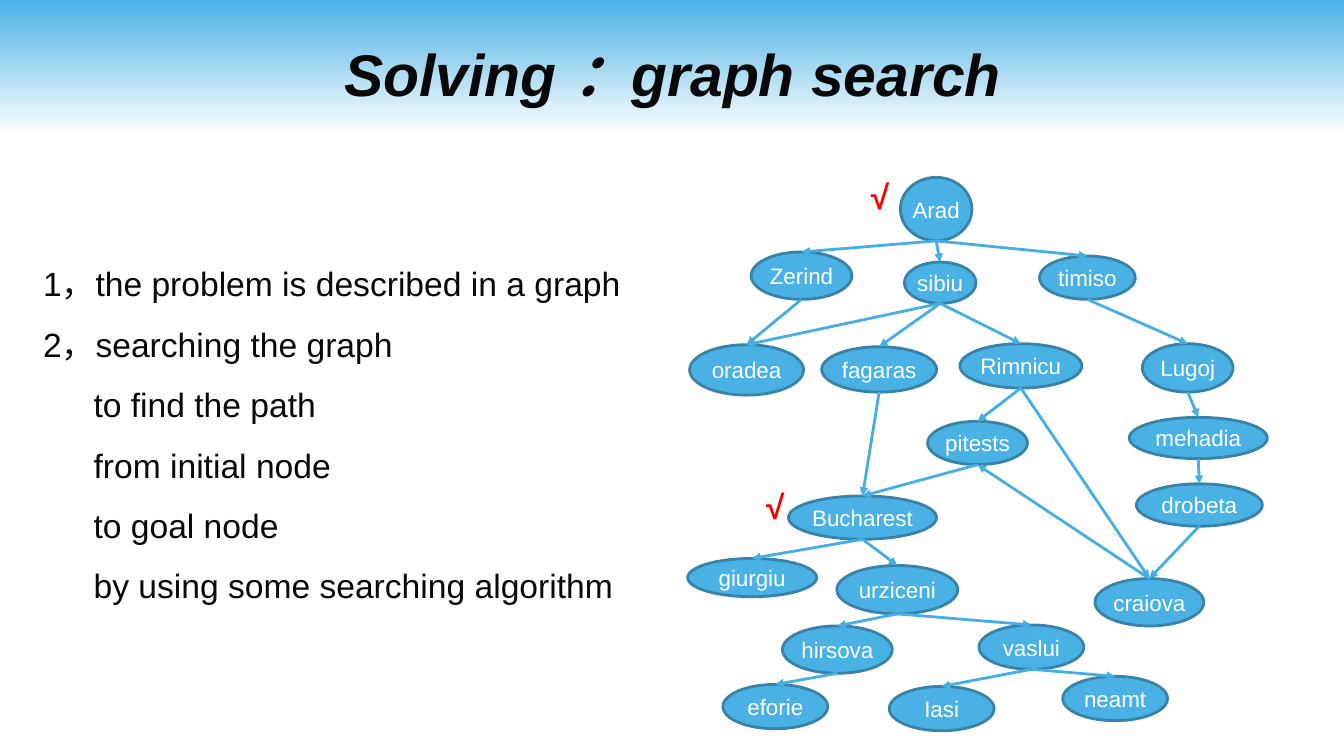
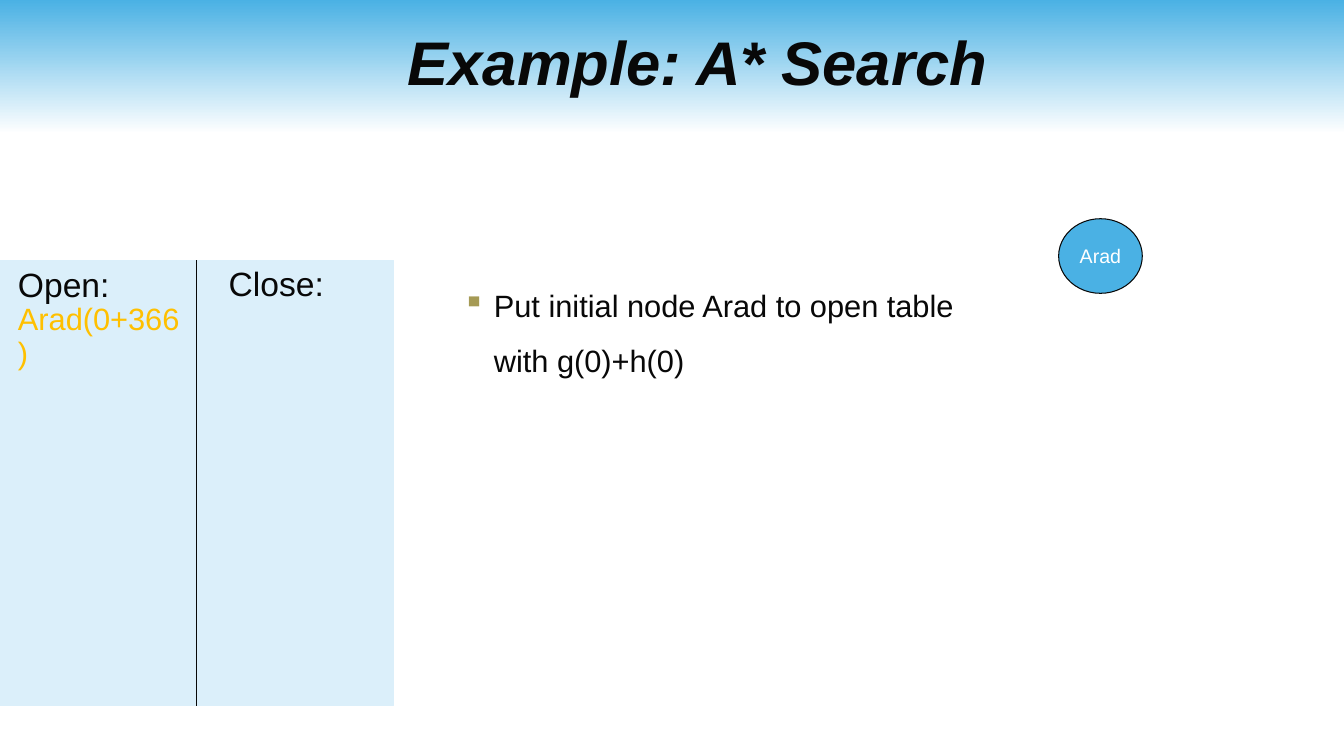
from lxml.etree import SubElement
from pptx import Presentation
from pptx.dml.color import RGBColor
from pptx.enum.shapes import MSO_CONNECTOR, MSO_SHAPE
from pptx.enum.text import MSO_ANCHOR, PP_ALIGN
from pptx.oxml.ns import qn
from pptx.util import Inches, Pt

COLOURS = {
    "text": "080808",
    "node": "4AB1E4",
    "node_line": "3783A9",
    "edge": "45AEE3",
    "white": "FFFFFF",
    "check": "FF0000",
    "panel": "DBEFFA",
    "open_node": "FFC000",
    "bullet": "A59A55",
}
RGB = {name: RGBColor.from_string(value) for name, value in COLOURS.items()}
TITLE_FONT = {"bold": True, "italic": True}
CENTRED = {"alignment": PP_ALIGN.CENTER}
NO_MARGINS = {"margin_left": 0, "margin_right": 0, "margin_top": 0, "margin_bottom": 0}
NODE_FRAME = {**NO_MARGINS, "vertical_anchor": MSO_ANCHOR.MIDDLE, "word_wrap": True}


def write(shape, lines, frame_format, paragraph_format, colour="text", **font_format):
    """Fill a shape with lines, one paragraph each, and return the paragraphs."""
    frame = shape.text_frame
    frame.text = "\n".join(lines)
    for name, value in frame_format.items():
        setattr(frame, name, value)
    for paragraph in frame.paragraphs:
        for name, value in paragraph_format.items():
            setattr(paragraph, name, value)
        font = paragraph.runs[0].font
        font.color.rgb = RGB[colour]
        for name, value in {"name": "Arial", **font_format}.items():
            setattr(font, name, value)
    return frame.paragraphs


def add_filled_shape(slide, kind, box, fill, line, line_width):
    shape = slide.shapes.add_shape(kind, *map(Inches, box))
    shape.shadow.inherit = False
    shape.fill.solid()
    shape.fill.fore_color.rgb = RGB[fill]
    shape.line.color.rgb = RGB[line]
    shape.line.width = Pt(line_width)
    return shape


presentation = Presentation()
presentation.slide_width = Inches(13.33)
presentation.slide_height = Inches(7.5)
layout = presentation.slide_layouts[5]

# Titles
titles = [
    ("Solving ：graph search", 0.67, 0.25, 42),
    ("Example: A* Search", 0.92, 0.13, 44),
]
slides = []
for text, left, top, size in titles:
    slide = presentation.slides.add_slide(layout)
    title = slide.shapes.title
    title.left, title.top = Inches(left), Inches(top)
    title.width, title.height = Inches(12), Inches(0.95)
    write(title, [text], {"vertical_anchor": MSO_ANCHOR.MIDDLE}, CENTRED,
          size=Pt(size), **TITLE_FONT)
    slides.append(slide)
graph_slide, search_slide = slides

# The gradient band belongs to the shared layout, behind its placeholders
band = add_filled_shape(graph_slide, MSO_SHAPE.RECTANGLE, (0, 0, 13.33, 1.33),
                        "node", "node", 1)
band.line.fill.background()
band.fill.gradient()
band.fill.gradient_angle = 270
for stop, colour in zip(band.fill.gradient_stops, ("node", "white")):
    stop.color.rgb = RGB[colour]
layout.shapes.element.insert(2, band.element)

# Graph search: explanation
explanation = graph_slide.shapes.add_textbox(*map(Inches, (0.33, 2.36, 6.02, 3.74)))
steps = [
    "1，the problem is described in a graph",
    "2，searching the graph",
    "to find the path",
    "from initial node",
    "to goal node",
    "by using some searching algorithm",
]
paragraphs = write(explanation, steps, {"word_wrap": True}, {"line_spacing": 1.5}, size=Pt(24))
for paragraph in paragraphs[2:]:
    paragraph.level = 1
    paragraph._p.get_or_add_pPr().set("marL", str(Inches(0.5)))

# Graph search: cities and roads
cities = {
    "Arad": (8.93, 1.76, 0.71, 0.63),
    "Zerind": (7.45, 2.5, 1, 0.47),
    "sibiu": (8.97, 2.6, 0.71, 0.41),
    "timiso": (10.31, 2.54, 0.95, 0.43),
    "oradea": (6.84, 3.42, 1.13, 0.5),
    "fagaras": (8.15, 3.44, 1.14, 0.45),
    "Rimnicu": (9.52, 3.41, 1.21, 0.44),
    "Lugoj": (11.33, 3.41, 0.9, 0.48),
    "pitests": (9.2, 4.18, 0.99, 0.43),
    "mehadia": (11.2, 4.14, 1.37, 0.41),
    "drobeta": (11.27, 4.8, 1.25, 0.42),
    "Bucharest": (7.82, 4.92, 1.47, 0.43),
    "giurgiu": (6.82, 5.54, 1.28, 0.38),
    "urziceni": (8.3, 5.61, 1.2, 0.48),
    "craiova": (10.86, 5.74, 1.08, 0.47),
    "hirsova": (7.76, 6.21, 1.09, 0.47),
    "vaslui": (9.71, 6.2, 1.04, 0.44),
    "eforie": (7.17, 6.79, 1.04, 0.44),
    "Iasi": (8.82, 6.81, 1.04, 0.44),
    "neamt": (10.54, 6.71, 1.04, 0.44),
}
roads = {
    "Arad": ["Zerind", "sibiu", "timiso"],
    "Zerind": ["oradea"],
    "sibiu": ["oradea", "fagaras", "Rimnicu"],
    "timiso": ["Lugoj"],
    "fagaras": ["Bucharest"],
    "Rimnicu": ["pitests", "craiova"],
    "Lugoj": ["mehadia"],
    "mehadia": ["drobeta"],
    "drobeta": ["craiova"],
    "pitests": ["Bucharest"],
    "Bucharest": ["giurgiu", "urziceni"],
    "urziceni": ["hirsova", "vaslui"],
    "hirsova": ["eforie"],
    "vaslui": ["Iasi", "neamt"],
}
tops, bottoms = {}, {}
for city, box in cities.items():
    node = add_filled_shape(graph_slide, MSO_SHAPE.OVAL, box, "node", "node_line", 2)
    write(node, [city], {**NODE_FRAME, "word_wrap": False}, CENTRED, "white", size=Pt(16))
    left, top, width, height = box
    tops[city] = (left + width / 2, top)
    bottoms[city] = (left + width / 2, top + height)

arrows = [(bottoms[start], tops[end]) for start, ends in roads.items() for end in ends]
arrows.append((tops["craiova"], bottoms["pitests"]))

for left, top in [(8.54, 1.7), (7.5, 4.77)]:
    check = graph_slide.shapes.add_textbox(*map(Inches, (left, top, 0.39, 0.5)))
    write(check, ["√"], {"word_wrap": False}, {}, "check", size=Pt(24), bold=True)

# A* search: open and close tables
add_filled_shape(search_slide, MSO_SHAPE.RECTANGLE, (0, 2.58, 3.9, 4.42), "panel", "panel", 0.75)
tables = [
    ((0.08, 2.61, 1.87, 1.16), ["Open:", "Arad(0+366)"]),
    ((2.17, 2.6, 1.66, 0.46), ["Close:"]),
]
for box, lines in tables:
    table_text = search_slide.shapes.add_textbox(*map(Inches, box))
    paragraphs = write(table_text, lines, {"word_wrap": True}, {"line_spacing": 0.9}, size=Pt(24))
    for paragraph in paragraphs[1:]:
        paragraph.runs[0].font.size = Pt(22)
        paragraph.runs[0].font.color.rgb = RGB["open_node"]

# A* search: current step and node
step = search_slide.shapes.add_textbox(*map(Inches, (3.99, 2.61, 5.79, 2.42)))
paragraph = write(step, ["Put initial node Arad to open table with g(0)+h(0)"],
                  {"word_wrap": True},
                  {"line_spacing": 1.5, "space_before": Pt(4.4), "level": 1},
                  size=Pt(22))[0]
properties = paragraph._p.get_or_add_pPr()
properties.set("marL", str(Inches(0.81)))
properties.set("indent", str(Inches(-0.31)))
bullet_colour = SubElement(properties, qn("a:buClr"))
SubElement(bullet_colour, qn("a:srgbClr"), val=COLOURS["bullet"])
SubElement(properties, qn("a:buChar"), char="▪")

start_node = add_filled_shape(search_slide, MSO_SHAPE.OVAL, (10.5, 2.17, 0.83, 0.74),
                              "node", "text", 0.75)
write(start_node, ["Arad"], NODE_FRAME, CENTRED, "white", size=Pt(14))

# Arrows of the graph and the divider between the tables
connectors = [(graph_slide, start, end, "edge", 2, True) for start, end in arrows]
connectors.append((search_slide, (1.95, 2.58), (1.95, 7), "text", 0.75, False))
for slide, start, end, colour, width, has_arrow in connectors:
    connector = slide.shapes.add_connector(MSO_CONNECTOR.STRAIGHT, *map(Inches, start + end))
    connector.line.color.rgb = RGB[colour]
    connector.line.width = Pt(width)
    if has_arrow:
        SubElement(connector.line._get_or_add_ln(), qn("a:tailEnd"), type="triangle")
    SubElement(connector.element.spPr, qn("a:effectLst"))

presentation.save("out.pptx")
